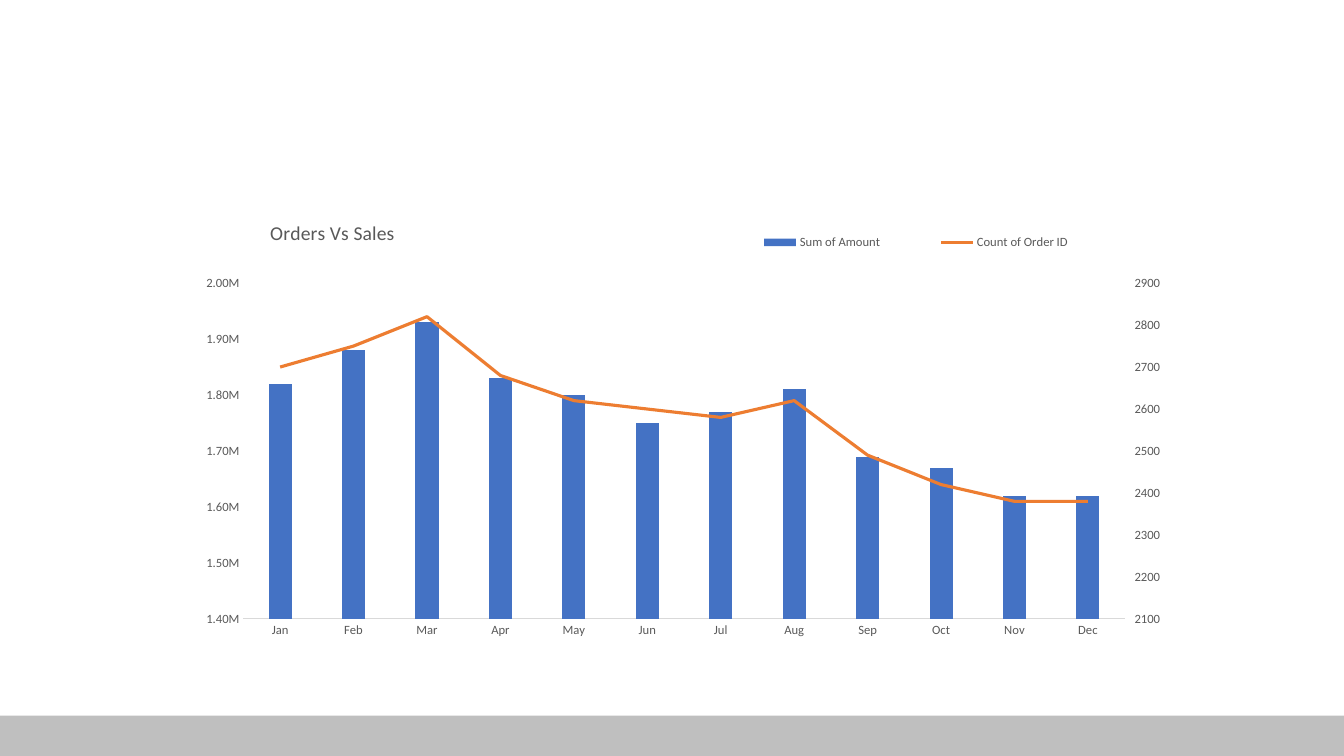
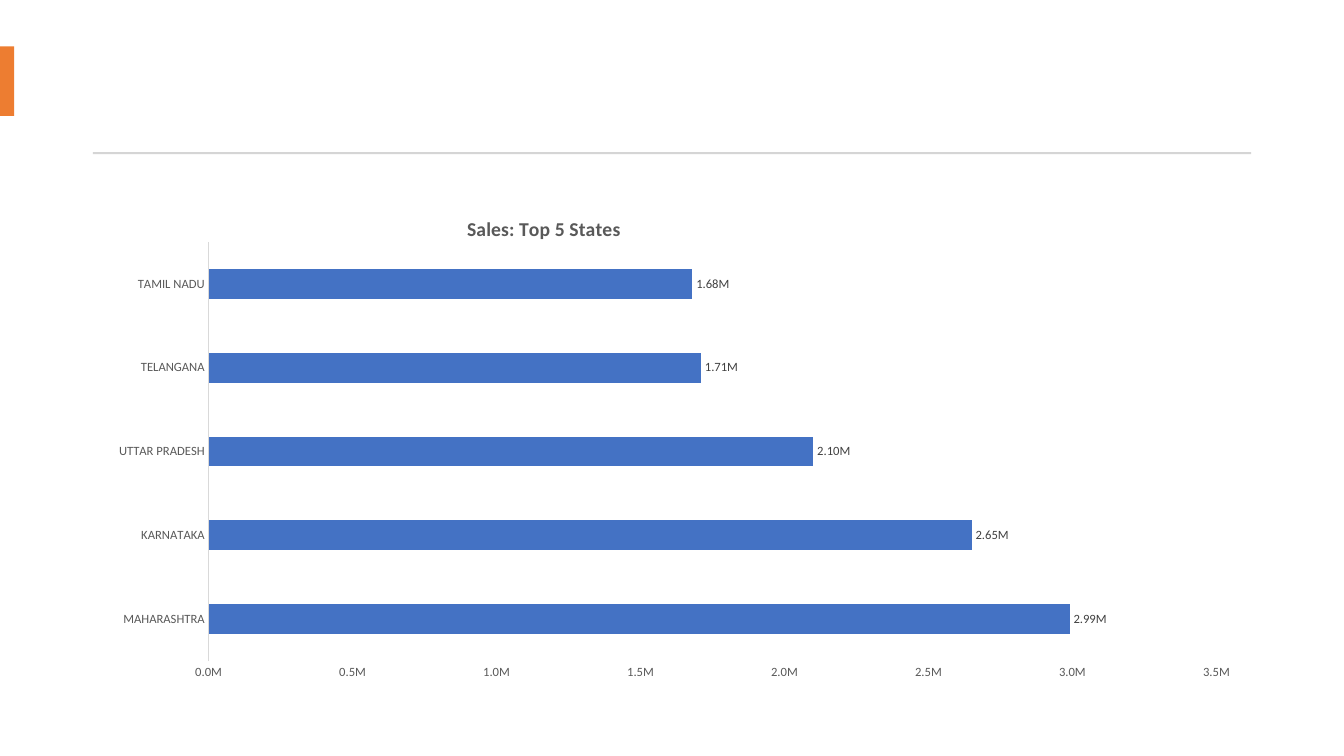
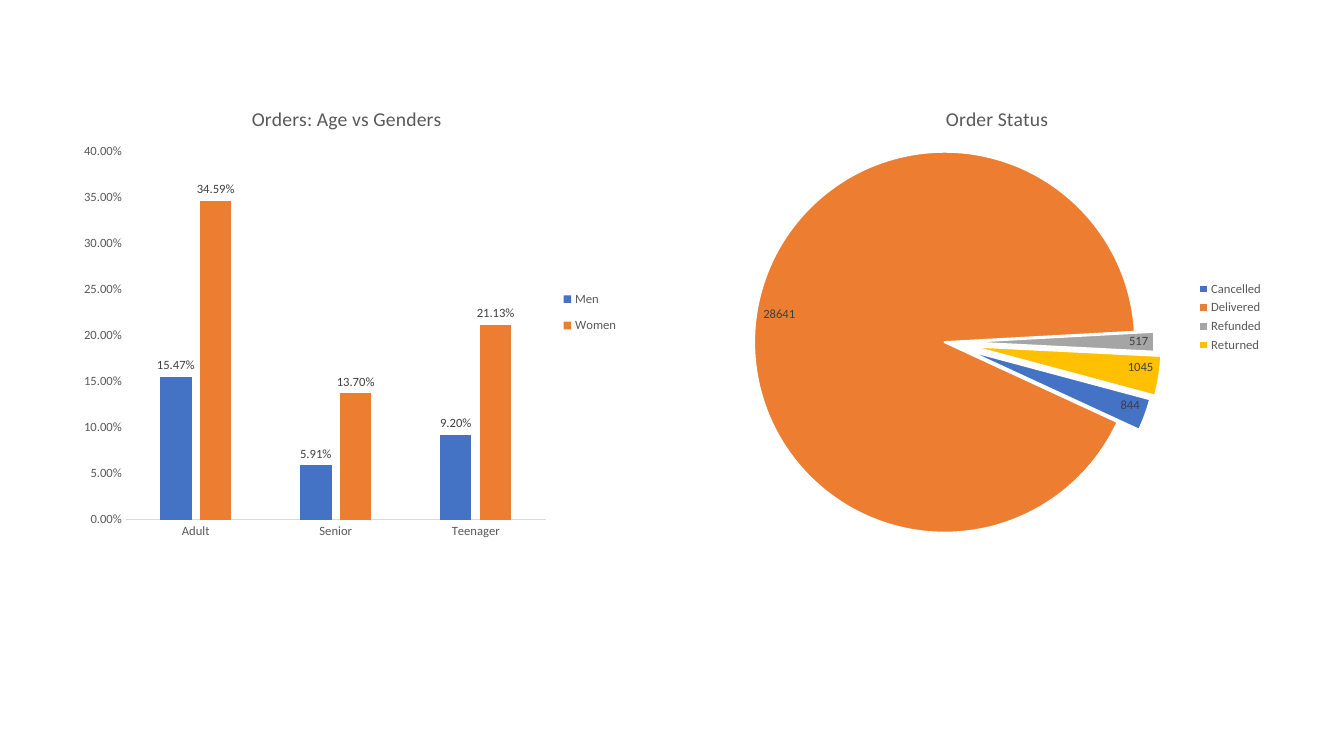
from pptx import Presentation
from pptx.chart.axis import ValueAxis
from pptx.chart.data import CategoryChartData as ChartData
from pptx.dml.color import RGBColor
from pptx.enum.chart import XL_CHART_TYPE as ChartType
from pptx.enum.chart import XL_LABEL_POSITION as LabelPosition
from pptx.enum.chart import XL_LEGEND_POSITION as LegendPosition
from pptx.enum.chart import XL_MARKER_STYLE as MarkerStyle
from pptx.enum.chart import XL_TICK_MARK as TickMark
from pptx.enum.shapes import MSO_SHAPE as Shape
from pptx.oxml import parse_xml
from pptx.oxml.ns import nsdecls, qn
from pptx.util import Inches, Pt

WHITE = RGBColor(0xFF, 0xFF, 0xFF)
BLUE = RGBColor(0x44, 0x72, 0xC4)
ORANGE = RGBColor(0xED, 0x7D, 0x31)
GRAY = RGBColor(0xA5, 0xA5, 0xA5)
YELLOW = RGBColor(0xFF, 0xC0, 0x00)
BAND_GRAY = RGBColor(0xBF, 0xBF, 0xBF)
RULE_GRAY = RGBColor(0xD5, 0xD5, 0xD5)
AXIS_GRAY = RGBColor(0xD9, 0xD9, 0xD9)
TEXT_GRAY = RGBColor(0x59, 0x59, 0x59)
LABEL_GRAY = RGBColor(0x40, 0x40, 0x40)

FONT = "Calibri"
MILLIONS = '0.00,,"M"'
SHORT_MILLIONS = '0.0,,"M"'
PERCENT = "0.00%"

SECOND_PLOT = """<c:lineChart {ns}><c:grouping val="standard"/><c:varyColors val="0"/>
<c:marker val="1"/><c:axId val="5001"/><c:axId val="5002"/></c:lineChart>"""
SECOND_VALUES = """<c:valAx {ns}><c:axId val="5002"/><c:scaling><c:orientation val="minMax"/></c:scaling>
<c:delete val="0"/><c:axPos val="r"/><c:majorTickMark val="out"/><c:minorTickMark val="none"/>
<c:tickLblPos val="nextTo"/><c:crossAx val="5001"/><c:crosses val="max"/></c:valAx>"""
SECOND_CATEGORIES = """<c:catAx {ns}><c:axId val="5001"/><c:scaling><c:orientation val="minMax"/></c:scaling>
<c:delete val="1"/><c:axPos val="b"/><c:majorTickMark val="none"/><c:minorTickMark val="none"/>
<c:tickLblPos val="nextTo"/><c:crossAx val="5002"/><c:crosses val="autoZero"/></c:catAx>"""


def chart_element(template):
    return parse_xml(template.format(ns=nsdecls("c")))


def style_font(font, size, color, bold=False):
    font.name, font.size, font.bold = FONT, Pt(size), bold
    font.color.rgb = color


def place(parent, index, *fractions, inner=False):
    """Set a manual layout (x, y and perhaps w, h as parts of the chart)."""
    for old in parent.findall(qn("c:layout")):
        parent.remove(old)
    names = "xywh"[:len(fractions)]
    target = '<c:layoutTarget val="inner"/>' if inner else ""
    modes = "".join(f'<c:{name}Mode val="edge"/>' for name in names if name in "xy")
    sizes = "".join(f'<c:{name} val="{part}"/>' for name, part in zip(names, fractions))
    parent.insert(index, chart_element(
        "<c:layout {ns}><c:manualLayout>" + target + modes + sizes
        + "</c:manualLayout></c:layout>"))


class ReportDeck:
    """Holds the deck, its shared style and the current slide."""

    def __init__(self):
        self.deck = Presentation()
        self.deck.slide_width, self.deck.slide_height = Inches(13.33), Inches(7.5)
        self.slide = None

    def add_slide(self, show_band=True):
        self.slide = self.deck.slides.add_slide(self.deck.slide_layouts[6])
        if not show_band:
            self.slide._element.set("showMasterSp", "0")

    def block(self, left, top, width, height, color):
        box = self.slide.shapes.add_shape(
            Shape.RECTANGLE, Inches(left), Inches(top), Inches(width), Inches(height))
        box.shadow.inherit = False
        box.fill.solid()
        box.fill.fore_color.rgb = color
        box.line.fill.background()
        return box

    def master_band(self):
        """Add the bottom band to the master, which every slide inherits."""
        band = self.block(0, 7.1, 13.33, 0.4, BAND_GRAY)
        band._element.nvSpPr.cNvPr.set("id", "99")
        self.deck.slide_master.shapes._spTree.append(band._element)

    def chart(self, kind, frame, title, categories, series, plot, title_at=None, bold=False):
        data = ChartData()
        data.categories = categories
        for name, values in series.items():
            data.add_series(name, values)
        chart = self.slide.shapes.add_chart(kind, *map(Inches, frame), data).chart
        style_font(chart.font, 10, RGBColor(0, 0, 0))
        chart.has_legend = False
        chart.has_title = True
        chart.chart_title.text_frame.text = title
        style_font(chart.chart_title.text_frame.paragraphs[0].runs[0].font,
                   14, TEXT_GRAY, bold)
        if title_at:
            place(chart.chart_title._element, 1, *title_at)
        place(chart._chartSpace.chart.plotArea, 0, *plot, inner=True)
        return chart

    def bar_chart(self, kind, *content, gap, colors, overlap=0, **options):
        chart = self.chart(kind, *content, **options)
        bars = chart.plots[0]
        bars.gap_width, bars.overlap, bars.vary_by_categories = gap, overlap, False
        for series, color in zip(bars.series, colors):
            series.format.fill.solid()
            series.format.fill.fore_color.rgb = color
        axis = chart.category_axis
        axis.major_tick_mark = TickMark.NONE
        axis.format.line.color.rgb = AXIS_GRAY
        axis.format.line.width = Pt(0.75)
        style_font(axis.tick_labels.font, 9, TEXT_GRAY)
        return chart

    def value_axis(self, axis, low, high, step, number_format, tick=TickMark.NONE):
        axis.minimum_scale, axis.maximum_scale, axis.major_unit = low, high, step
        axis.has_major_gridlines = False
        axis.major_tick_mark = tick
        axis.format.line.fill.background()
        labels = axis.tick_labels
        labels.number_format, labels.number_format_is_linked = number_format, False
        style_font(labels.font, 9, TEXT_GRAY)

    def legend(self, chart, *fractions):
        chart.has_legend = True
        legend = chart.legend
        legend.position, legend.include_in_layout = LegendPosition.RIGHT, False
        style_font(legend.font, 9, TEXT_GRAY)
        if fractions:
            place(legend._element, 1, *fractions)

    def data_labels(self, chart, number_format, position):
        for series in chart.plots[0].series:
            labels = series.data_labels
            labels.show_value, labels.position = True, position
            labels.number_format, labels.number_format_is_linked = number_format, False
            style_font(labels.font, 9, LABEL_GRAY)

    def line_on_right_axis(self, chart, color):
        """Turn the last bar series into a line and return its own value axis."""
        plot_area = chart._chartSpace.chart.plotArea
        bars = plot_area.find(qn("c:barChart"))
        moved = bars.findall(qn("c:ser"))[-1]
        for name in ("c:invertIfNegative", "c:spPr"):
            for part in moved.findall(qn(name)):
                moved.remove(part)
        line_plot = chart_element(SECOND_PLOT)
        line_plot.insert(2, moved)
        bars.addnext(line_plot)
        values = chart_element(SECOND_VALUES)
        plot_area.find(qn("c:valAx")).addnext(values)
        values.addnext(chart_element(SECOND_CATEGORIES))
        line = chart.plots[1].series[0]
        line.smooth = False
        line.marker.style = MarkerStyle.NONE
        line.format.line.color.rgb = color
        line.format.line.width = Pt(2.25)
        return ValueAxis(values)

    def pie_slices(self, chart, start, colors, explosions):
        pie = chart.plots[0]
        pie.vary_by_categories = True
        element = pie._element
        for old in element.findall(qn("c:firstSliceAng")):
            element.remove(old)
        element.append(chart_element(f'<c:firstSliceAng {{ns}} val="{start}"/>'))
        series = pie.series[0]
        for index, (color, explosion) in enumerate(zip(colors, explosions)):
            look = series.points[index].format
            look.fill.solid()
            look.fill.fore_color.rgb = color
            look.line.color.rgb = WHITE
            look.line.width = Pt(1.5)
            point = series._element.get_or_add_dPt_for_point(index)
            point.find(qn("c:spPr")).addprevious(
                chart_element(f'<c:explosion {{ns}} val="{explosion}"/>'))


def orders_and_sales(report):
    report.add_slide()
    report.master_band()
    thousands = (1820, 1880, 1930, 1830, 1800, 1750, 1770, 1810, 1690, 1670, 1620, 1620)
    orders = (2700, 2750, 2820, 2680, 2620, 2600, 2580, 2620, 2490, 2420, 2380, 2380)
    chart = report.bar_chart(
        ChartType.COLUMN_CLUSTERED, (0.92, 2, 11.5, 4.76), "Orders Vs Sales",
        "Jan Feb Mar Apr May Jun Jul Aug Sep Oct Nov Dec".split(),
        {"Sum of Amount": [amount * 1000 for amount in thousands],
         "Count of Order ID": orders},
        (0.13, 0.17, 0.76, 0.7), title_at=(0.15, 0.03),
        gap=219, overlap=-27, colors=(BLUE, ORANGE))
    report.value_axis(chart.value_axis, 1400000, 2000000, 100000, MILLIONS)
    right_axis = report.line_on_right_axis(chart, ORANGE)
    report.value_axis(right_axis, 2100, 2900, 100, "General", TickMark.OUTSIDE)
    report.legend(chart, 0.53, 0.06, 0.36, 0.05)


def top_states(report):
    report.add_slide(show_band=False)
    report.block(0, 0.46, 0.14, 0.69, ORANGE)
    report.block(0.92, 1.51, 11.49, 0.02, RULE_GRAY)
    chart = report.bar_chart(
        ChartType.BAR_CLUSTERED, (0.92, 1.8, 11.49, 5.01), "Sales: Top 5 States",
        ("MAHARASHTRA", "KARNATAKA", "UTTAR PRADESH", "TELANGANA", "TAMIL NADU"),
        {"Series 1": (2990000, 2650000, 2100000, 1710000, 1680000)},
        (0.1, 0.12, 0.87, 0.83), title_at=(0.32, 0.06), bold=True,
        gap=182, colors=(BLUE,))
    report.value_axis(chart.value_axis, 0, 3500000, 500000, SHORT_MILLIONS)
    report.data_labels(chart, MILLIONS, LabelPosition.OUTSIDE_END)


def customers_and_status(report):
    report.add_slide(show_band=False)
    top, width, height = 0.86, 5.48, 4.57
    columns = report.bar_chart(
        ChartType.COLUMN_CLUSTERED, (0.7, top, width, height), "Orders: Age vs Genders",
        ("Adult", "Senior", "Teenager"),
        {"Men": (0.1547, 0.0591, 0.092), "Women": (0.3459, 0.137, 0.2113)},
        (0.1, 0.14, 0.76, 0.8), gap=219, overlap=-27, colors=(BLUE, ORANGE))
    report.value_axis(columns.value_axis, 0, 0.4, 0.05, PERCENT)
    report.data_labels(columns, PERCENT, LabelPosition.OUTSIDE_END)
    report.legend(columns, 0.88, 0.42, 0.12, 0.14)

    pie = report.chart(
        ChartType.PIE, (7.15, top, width, height), "Order Status",
        ("Cancelled", "Delivered", "Refunded", "Returned"),
        {"Series 1": (844, 28641, 517, 1045)}, (0.06, 0.14, 0.69, 0.83))
    report.pie_slices(pie, 105, (BLUE, ORANGE, GRAY, YELLOW), (12, 0, 10, 14))
    report.data_labels(pie, "General", LabelPosition.INSIDE_END)
    report.legend(pie)


def main():
    report = ReportDeck()
    orders_and_sales(report)
    top_states(report)
    customers_and_status(report)
    report.deck.save("out.pptx")


if __name__ == "__main__":
    main()
